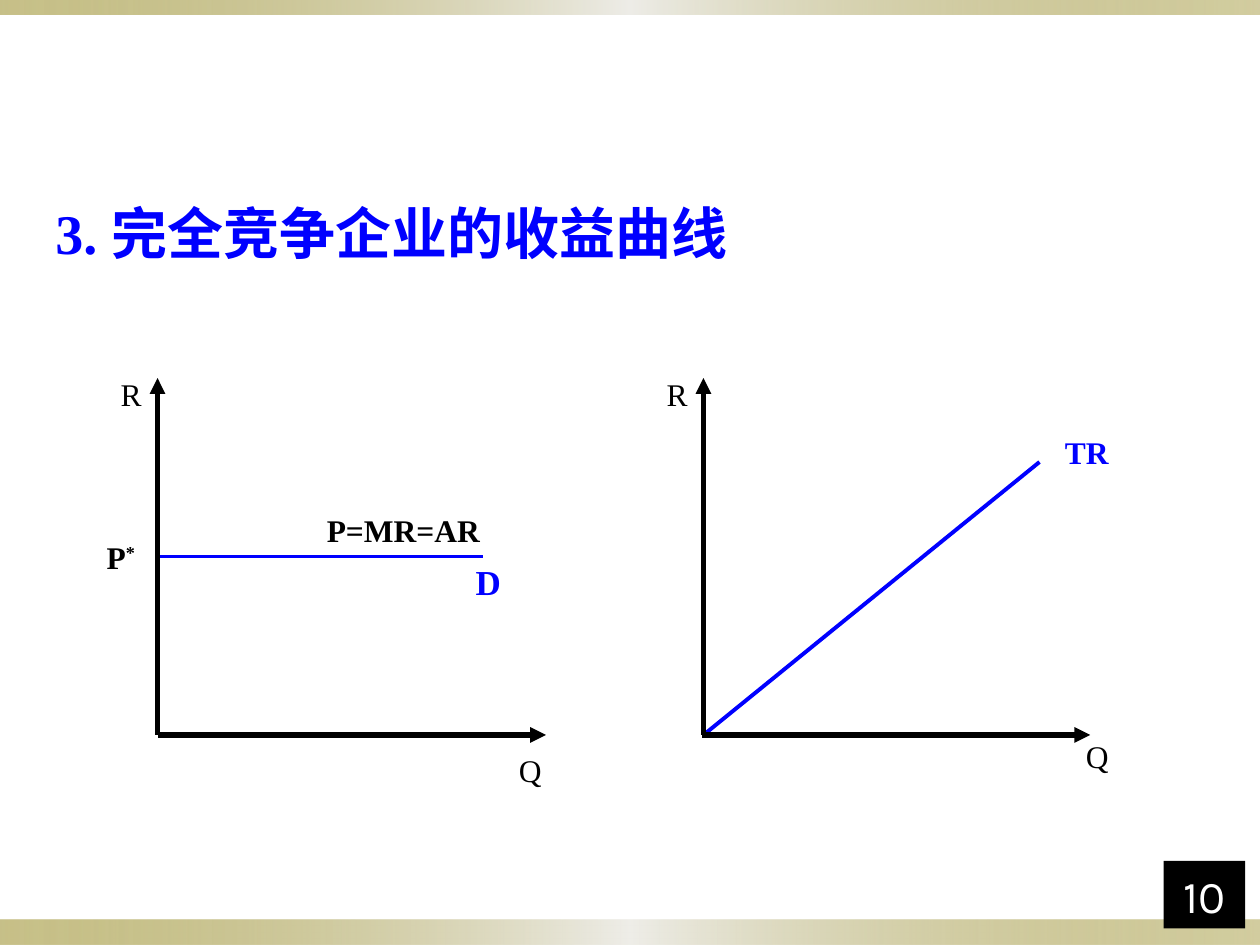
"""Build a slide with the revenue curves of a perfectly competitive firm."""
from dataclasses import dataclass

from lxml.etree import SubElement
from pptx import Presentation
from pptx.dml.color import RGBColor
from pptx.enum.shapes import MSO_CONNECTOR, MSO_SHAPE
from pptx.enum.text import MSO_ANCHOR, MSO_AUTO_SIZE, PP_ALIGN
from pptx.oxml.ns import qn
from pptx.util import Pt


@dataclass(frozen=True)
class Theme:
    ink: str = "000000"
    curve: str = "0000FF"
    paper: str = "FFFFFF"
    band_edge: str = "918415"
    band_middle: str = "EEEDE8"
    serif: str = "Times New Roman"
    sans: str = "Karla"
    title_size: int = 32
    label_size: int = 18
    demand_size: int = 20
    number_size: int = 26
    axis_width: float = 3
    curve_width: float = 2.25


theme = Theme()


def add_run(paragraph, text, size, color, bold=False, face=theme.serif):
    run = paragraph.add_run()
    run.text = text
    run.font.name = face
    run.font.size = Pt(size)
    run.font.bold = bold
    run.font.color.rgb = RGBColor.from_string(color)
    return run


def add_line(shapes, start, end, color, width, arrow=False):
    line = shapes.add_connector(MSO_CONNECTOR.STRAIGHT, *map(Pt, start + end))
    line.line.color.rgb = RGBColor.from_string(color)
    line.line.width = Pt(width)
    if arrow:
        SubElement(line.line._get_or_add_ln(), qn("a:tailEnd"), type="triangle")
    SubElement(line._element.spPr, qn("a:effectLst"))


presentation = Presentation()
presentation.slide_width, presentation.slide_height = Pt(720), Pt(540)
slide = presentation.slides.add_slide(presentation.slide_layouts[5])
shapes = slide.shapes

for top, height in ((525.6, 14.4), (0, 8.6)):
    band = shapes.add_shape(MSO_SHAPE.RECTANGLE, 0, Pt(top), Pt(720), Pt(height))
    band.shadow.inherit = False
    band.line.fill.background()
    band.fill.gradient()
    band.fill.gradient_angle = 0
    stops = band._element.spPr.find(qn("a:gradFill")).find(qn("a:gsLst"))
    for stop in list(stops):
        stops.remove(stop)
    for position, color, opacity in (
        (0, theme.band_edge, 50),
        (50, theme.band_middle, 100),
        (100, theme.band_edge, 40),
    ):
        stop = SubElement(stops, qn("a:gs"), pos=str(position * 1000))
        tint = SubElement(stop, qn("a:srgbClr"), val=color)
        SubElement(tint, qn("a:alpha"), val=str(opacity * 1000))

axis_top, axis_bottom = 216, 420
price_level = 318
graphs = (
    (90, 90, ((90, price_level), (276, price_level))),
    (402, 401, ((402, axis_bottom), (594, 264))),
)
for origin, baseline_start, (curve_start, curve_end) in graphs:
    corner = (origin, axis_bottom)
    add_line(shapes, curve_start, curve_end, theme.curve, theme.curve_width)
    add_line(shapes, corner, (origin, axis_top), theme.ink, theme.axis_width, True)
    add_line(shapes, (baseline_start, axis_bottom), (baseline_start + 222, axis_bottom),
             theme.ink, theme.axis_width, True)

labels = (
    ("R", 60, 210, 30, 30, theme.label_size, theme.ink, False),
    ("P", 48, 306, 42, 24, theme.label_size, theme.ink, True),
    ("P=MR=AR", 170.5, 288, 120, 30, theme.label_size, theme.ink, True),
    ("D", 258, 320, 42, 24, theme.demand_size, theme.curve, True),
    ("Q", 282, 428, 42, 24, theme.label_size, theme.ink, False),
    ("R", 372, 210, 30, 30, theme.label_size, theme.ink, False),
    ("TR", 600, 246, 42, 24, theme.label_size, theme.curve, True),
    ("Q", 606, 420, 42, 24, theme.label_size, theme.ink, False),
)
for text, left, top, width, height, size, color, bold in labels:
    label = shapes.add_textbox(Pt(left), Pt(top), Pt(width), Pt(height)).text_frame
    label.word_wrap = False
    label.vertical_anchor = MSO_ANCHOR.MIDDLE
    label.paragraphs[0].alignment = PP_ALIGN.CENTER
    add_run(label.paragraphs[0], text, size, color, bold)
    if text == "P":
        star = add_run(label.paragraphs[0], "*", size, color, bold)
        star.font._element.set("baseline", "30000")

title = shapes.title
title.left, title.top, title.width, title.height = Pt(24.5), Pt(110), Pt(432), Pt(46)
heading = title.text_frame
heading.auto_size = MSO_AUTO_SIZE.NONE
heading.word_wrap = True
heading.vertical_anchor = MSO_ANCHOR.TOP
heading.paragraphs[0].alignment = PP_ALIGN.LEFT
add_run(heading.paragraphs[0], "3. 完全竞争企业的收益曲线", theme.title_size, theme.curve, True)

page_number = shapes.add_shape(MSO_SHAPE.RECTANGLE, Pt(665), Pt(492), Pt(46.5), Pt(38.5))
page_number.shadow.inherit = False
page_number.fill.solid()
page_number.fill.fore_color.rgb = RGBColor.from_string(theme.ink)
page_number.line.fill.background()
page_number.text_frame.vertical_anchor = MSO_ANCHOR.BOTTOM
page_number.text_frame.paragraphs[0].alignment = PP_ALIGN.CENTER
add_run(page_number.text_frame.paragraphs[0], "10", theme.number_size, theme.paper, face=theme.sans)

presentation.save("out.pptx")
